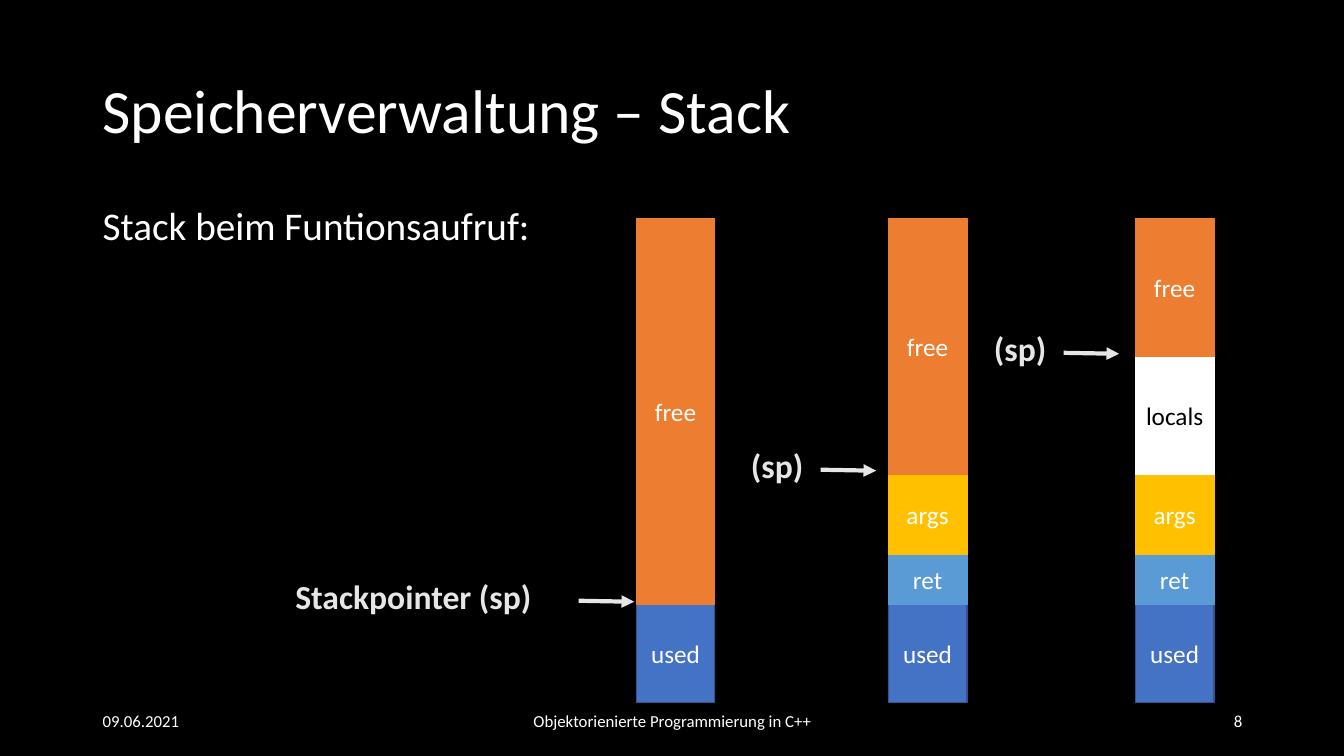
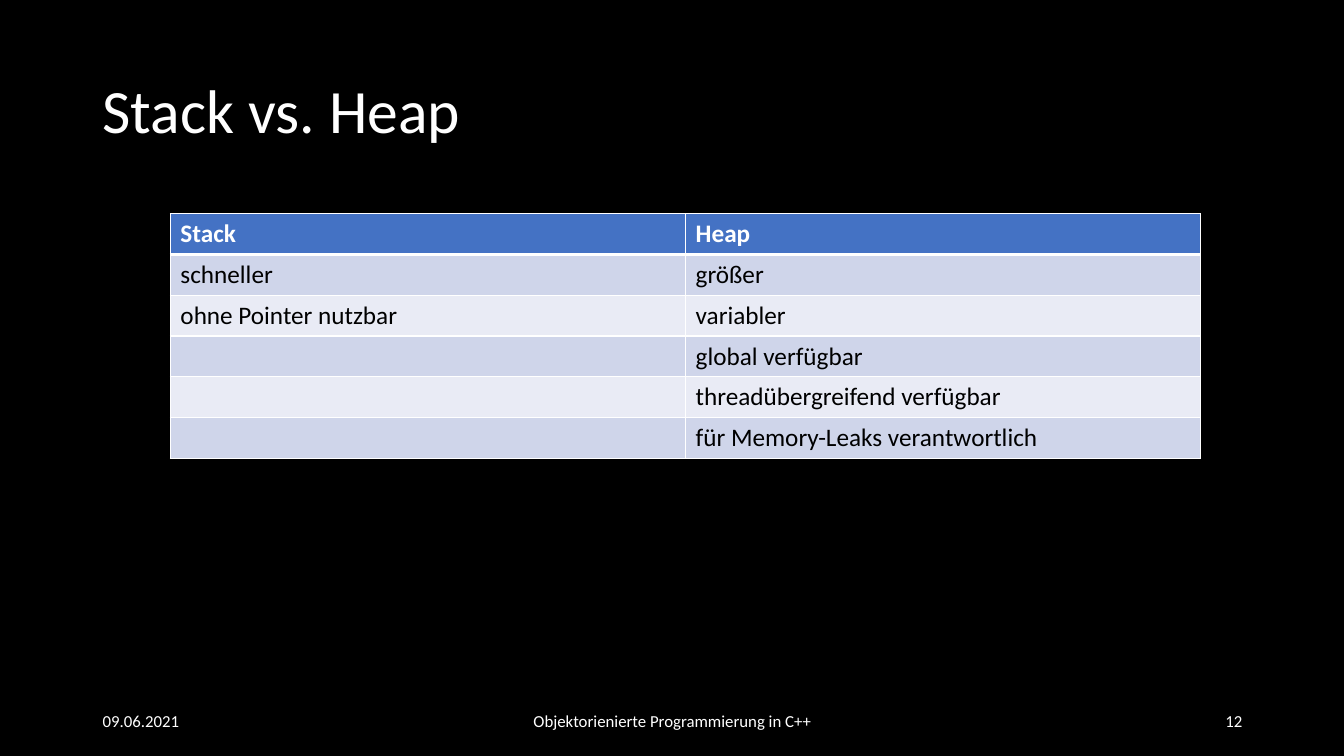
import pptx
import pptx.dml.color
import pptx.enum.shapes
import pptx.enum.text
import pptx.oxml
import pptx.oxml.ns
import pptx.util
import lxml.etree

PX = 9144  # 100 px to the inch
FONT = "Calibri"
WHITE, BLACK, PALE = "FFFFFF", "000000", "E7E6E6"
BLUE, NAVY, SKY = "4472C4", "325491", "5B9BD5"
ORANGE, GOLD = "ED7D31", "FFC000"
BANDS = ["E9EBF5", "CFD5EA"]

ALIGN = pptx.enum.text.PP_ALIGN
ANCHOR = pptx.enum.text.MSO_ANCHOR

# name: (fill, line, text colour)
BLOCKS = {
    "used": (BLUE, NAVY, WHITE),
    "ret": (SKY, SKY, WHITE),
    "args": (GOLD, GOLD, WHITE),
    "locals": (WHITE, WHITE, BLACK),
    "free": (ORANGE, ORANGE, WHITE),
}
HEIGHTS = {"used": 97, "ret": 50, "args": 79, "locals": 117}
BAR_TOP, BAR_HEIGHT, BAR_WIDTH = 217, 480, 78

ROWS = [
    ("Stack", "Heap"),
    ("schneller", "größer"),
    ("ohne Pointer nutzbar", "variabler"),
    ("", "global verfügbar"),
    ("", "threadübergreifend verfügbar"),
    ("", "für Memory-Leaks verantwortlich"),
]


def color(code):
    return pptx.dml.color.RGBColor.from_string(code)


def px(*sizes):
    return [pptx.util.Emu(size * PX) for size in sizes]


def write(frame, text, size=18, ink=WHITE, bold=False, align=ALIGN.LEFT,
          lead=None, before=None):
    """Fill the first paragraph of a text frame."""
    para = frame.paragraphs[0]
    para.alignment = align
    if lead:
        para.line_spacing = lead
    if before:
        para.space_before = pptx.util.Pt(before)
    run = para.add_run()
    run.text = text
    run.font.name = FONT
    run.font.size = pptx.util.Pt(size)
    run.font.bold = bold
    run.font.color.rgb = color(ink)


def add_text(slide, box, text, anchor=ANCHOR.TOP, wrap=True, **look):
    frame = slide.shapes.add_textbox(*px(*box)).text_frame
    frame.word_wrap = wrap
    frame.vertical_anchor = anchor
    write(frame, text, **look)


def add_slide(deck, title, number):
    """Add a slide with the shared background, title and footer."""
    slide = deck.slides.add_slide(deck.slide_layouts[6])
    fill = slide.background.fill
    fill.solid()
    fill.fore_color.rgb = color(BLACK)
    add_text(slide, (92, 40, 1150, 145), title, ANCHOR.MIDDLE, size=44, lead=0.9)
    footer = [
        (92, 300, "09.06.2021", ALIGN.LEFT),
        (442, 450, "Objektorienierte Programmierung in C++", ALIGN.CENTER),
        (942, 300, str(number), ALIGN.RIGHT),
    ]
    for left, width, text, align in footer:
        add_text(slide, (left, 695, width, 40), text, ANCHOR.MIDDLE,
                 size=12, align=align)
    return slide


def add_block(slide, box, name):
    fill, line, ink = BLOCKS[name]
    kind = pptx.enum.shapes.MSO_SHAPE.RECTANGLE
    block = slide.shapes.add_shape(kind, *px(*box))
    block.shadow.inherit = False
    block.fill.solid()
    block.fill.fore_color.rgb = color(fill)
    block.line.color.rgb = color(line)
    block.line.width = pptx.util.Pt(1)
    block.text_frame.word_wrap = False
    block.text_frame.vertical_anchor = ANCHOR.MIDDLE
    write(block.text_frame, name, ink=ink, align=ALIGN.CENTER)


def add_bar(slide, left, names):
    """Pile the named blocks from the bottom up; free fills the rest."""
    base = BAR_TOP + BAR_HEIGHT
    for name in names + ["free"]:
        height = HEIGHTS.get(name, base - BAR_TOP)
        base -= height
        add_block(slide, (left, base, BAR_WIDTH, height), name)


def add_arrow(slide, left, top):
    kind = pptx.enum.shapes.MSO_CONNECTOR.STRAIGHT
    arrow = slide.shapes.add_connector(kind, *px(left, top, left + 55, top + 1))
    arrow.line.color.rgb = color(PALE)
    arrow.line.width = pptx.util.Pt(3)
    qn = pptx.oxml.ns.qn
    lxml.etree.SubElement(arrow.line._get_or_add_ln(), qn("a:tailEnd"),
                          type="triangle")
    lxml.etree.SubElement(arrow._element.spPr, qn("a:effectLst"))


def add_mark(slide, box, text, start):
    """Add a stack pointer label with its arrow."""
    add_text(slide, box, text, wrap=False, size=24, ink=PALE, bold=True)
    add_arrow(slide, start, box[1] + 30)


def add_edge(cell, side, width):
    xml = (f'<a:ln{side} {pptx.oxml.ns.nsdecls("a")} w="{pptx.util.Pt(width)}">'
           f'<a:solidFill><a:srgbClr val="{WHITE}"/></a:solidFill></a:ln{side}>')
    cell._tc.get_or_add_tcPr().append(pptx.oxml.parse_xml(xml))


def add_grid(slide, box, rows):
    count = len(rows)
    table = slide.shapes.add_table(count, len(rows[0]), *px(*box)).table
    for r, row in enumerate(rows):
        head = r == 0
        for c, text in enumerate(row):
            cell = table.cell(r, c)
            for side in "LRTB":
                thick = (r, side) in [(0, "B"), (1, "T")]
                add_edge(cell, side, 3 if thick else 1)
            cell.fill.solid()
            cell.fill.fore_color.rgb = color(BLUE if head else BANDS[r % 2])
            if text:
                write(cell.text_frame, text, ink=WHITE if head else BLACK,
                      bold=head)


def draw_stack(deck):
    slide = add_slide(deck, "Speicherverwaltung – Stack", 8)
    add_text(slide, (92, 200, 1150, 476), "Stack beim Funtionsaufruf:",
             size=28, lead=0.9, before=10)
    add_bar(slide, 631, ["used"])
    add_bar(slide, 881, ["used", "ret", "args"])
    add_bar(slide, 1126, ["used", "ret", "args", "locals"])
    add_mark(slide, (283, 566, 265, 50), "Stackpointer (sp)", 574)
    add_mark(slide, (735, 436, 74, 50), "(sp)", 814)
    add_mark(slide, (976, 320, 74, 50), "(sp)", 1055)


def draw_table(deck):
    slide = add_slide(deck, "Stack vs. Heap", 12)
    add_grid(slide, (169, 212, 1022, 243), ROWS)


def main():
    deck = pptx.Presentation()
    deck.slide_width, deck.slide_height = px(1333, 750)
    draw_stack(deck)
    draw_table(deck)
    deck.save("out.pptx")


if __name__ == "__main__":
    main()
